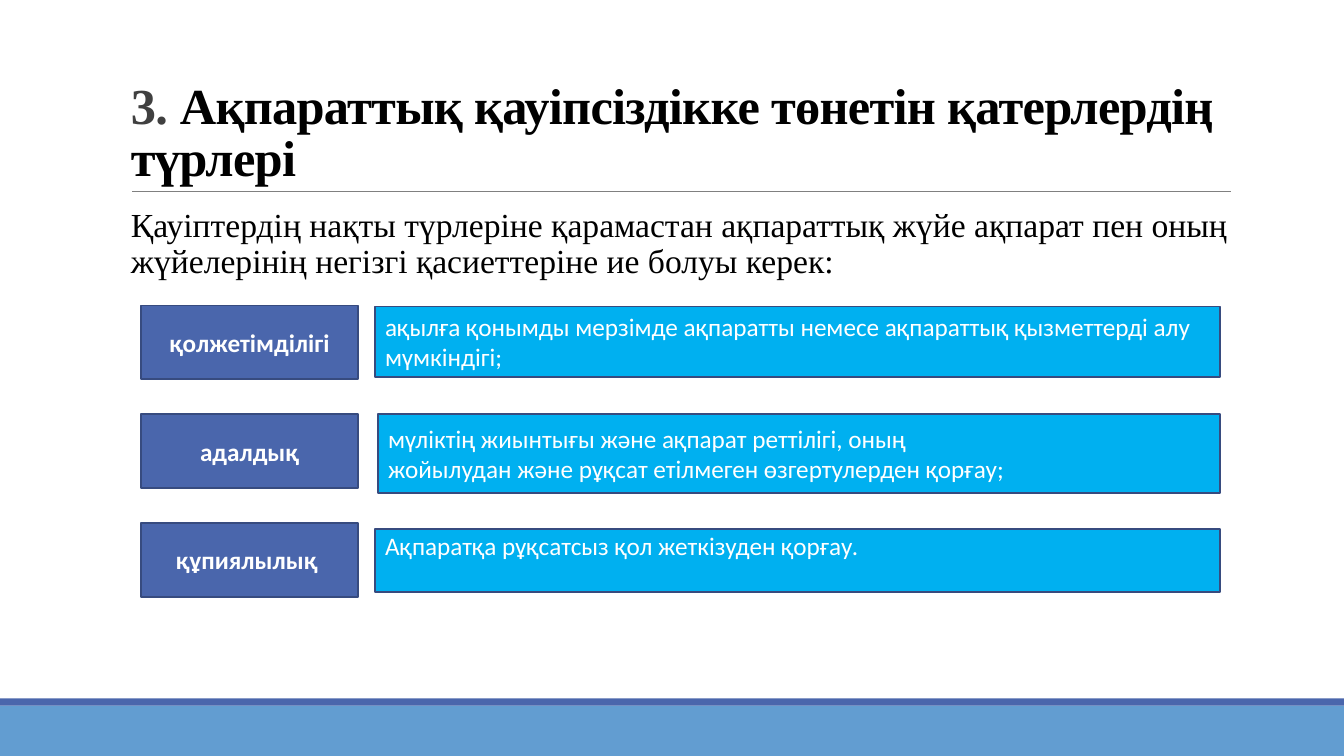
from pptx import Presentation
from pptx.dml.color import RGBColor
from pptx.enum.shapes import MSO_CONNECTOR, MSO_SHAPE
from pptx.enum.text import MSO_ANCHOR as ANCHOR, PP_ALIGN as ALIGN
from pptx.oxml.ns import qn
from pptx.util import Inches, Pt
from lxml import etree

WHITE = RGBColor(0xFF, 0xFF, 0xFF)
BLACK = RGBColor(0x00, 0x00, 0x00)
DARK = RGBColor(0x40, 0x40, 0x40)
GRAY = RGBColor(0x80, 0x80, 0x80)
INDIGO = RGBColor(0x4A, 0x66, 0xAC)
NAVY = RGBColor(0x37, 0x4B, 0x7F)
SKY = RGBColor(0x00, 0xB0, 0xF0)
BLUE = RGBColor(0x62, 0x9D, 0xD1)


class SlideBuilder:
    heading_font = "Times New Roman"
    box_font = "Calibri"

    def __init__(self, slide):
        self.s = slide

    def rect(self, left, top, width, height, fill, line=None):
        sp = self.s.shapes.add_shape(
            MSO_SHAPE.RECTANGLE, Inches(left), Inches(top), Inches(width), Inches(height))
        sp.shadow.inherit = False
        sp.fill.solid()
        sp.fill.fore_color.rgb = fill
        if line is None:
            sp.line.fill.background()
        else:
            sp.line.color.rgb = line
            sp.line.width = Pt(1.25)
        return sp

    def box(self, left, top, width, height, fill, lines,
            bold=False, align=ALIGN.LEFT, anchor=ANCHOR.MIDDLE):
        tf = self.rect(left, top, width, height, fill, NAVY).text_frame
        tf.word_wrap = True
        tf.vertical_anchor = anchor
        tf.margin_top = tf.margin_bottom = Inches(0.01)
        for i, line in enumerate(lines):
            p = tf.add_paragraph() if i else tf.paragraphs[0]
            p.text = line
            p.alignment = align
            p.font.name = self.box_font
            p.font.size = Pt(18)
            p.font.bold = bold
            p.font.color.rgb = WHITE

    def rule(self, left, right, top):
        line = self.s.shapes.add_connector(
            MSO_CONNECTOR.STRAIGHT, Inches(left), Inches(top), Inches(right), Inches(top))
        line.line.color.rgb = GRAY
        line.line.width = Pt(0.5)
        etree.SubElement(line._element.spPr, qn("a:effectLst"))

    def text(self, left, top, width, height, runs, size, spacing,
             bold=False, anchor=ANCHOR.TOP, tracking=0):
        tb = self.s.shapes.add_textbox(
            Inches(left), Inches(top), Inches(width), Inches(height))
        tf = tb.text_frame
        tf.word_wrap = True
        tf.vertical_anchor = anchor
        tf.margin_right = 0
        p = tf.paragraphs[0]
        p.line_spacing = spacing
        p.font.name = self.heading_font
        p.font.size = Pt(size)
        p.font.bold = bold
        for content, color in runs:
            r = p.add_run()
            r.text = content
            r.font.color.rgb = color
            if tracking:
                r._r.get_or_add_rPr().set("spc", str(round(tracking * 100)))


PROPERTIES = [
    ("қолжетімділігі", (3.72, 3.04, 8.38, 0.7), ANCHOR.MIDDLE,
     ["ақылға қонымды мерзімде ақпаратты немесе ақпараттық қызметтерді алу мүмкіндігі;"]),
    ("адалдық", (3.75, 4.11, 8.35, 0.78), ANCHOR.MIDDLE,
     ["мүліктің жиынтығы және ақпарат реттілігі, оның",
      "жойылудан және рұқсат етілмеген өзгертулерден қорғау;"]),
    ("құпиялылық ", (3.72, 5.25, 8.38, 0.62), ANCHOR.TOP,
     ["Ақпаратқа рұқсатсыз қол жеткізуден қорғау."]),
]


def main():
    prs = Presentation()
    prs.slide_width, prs.slide_height = Inches(13.33), Inches(7.5)
    b = SlideBuilder(prs.slides.add_slide(prs.slide_layouts[6]))

    b.rect(0, 7, 13.33, 0.5, BLUE)
    b.rect(0, 6.93, 13.33, 0.07, INDIGO)
    b.rule(1.31, 12.21, 1.9)
    b.text(1.2, 0.31, 11, 1.59,
           [("3. ", DARK), ("Ақпараттық қауіпсіздікке төнетін қатерлердің түрлері", BLACK)],
           36, 0.85, bold=True, anchor=ANCHOR.BOTTOM, tracking=-0.5)
    b.text(1.2, 2.02, 11.08, 0.85,
           [("Қауіптердің нақты түрлеріне қарамастан ақпараттық жүйе ақпарат пен оның "
             "жүйелерінің негізгі қасиеттеріне ие болуы керек:", BLACK)], 24, 0.9)

    for i, (label, area, anchor, lines) in enumerate(PROPERTIES):
        b.box(1.4, 3.03 + 1.08 * i, 2.15, 0.73, INDIGO, [label], bold=True, align=ALIGN.CENTER)
        b.box(*area, SKY, lines, anchor=anchor)

    prs.save("out.pptx")


if __name__ == "__main__":
    main()
